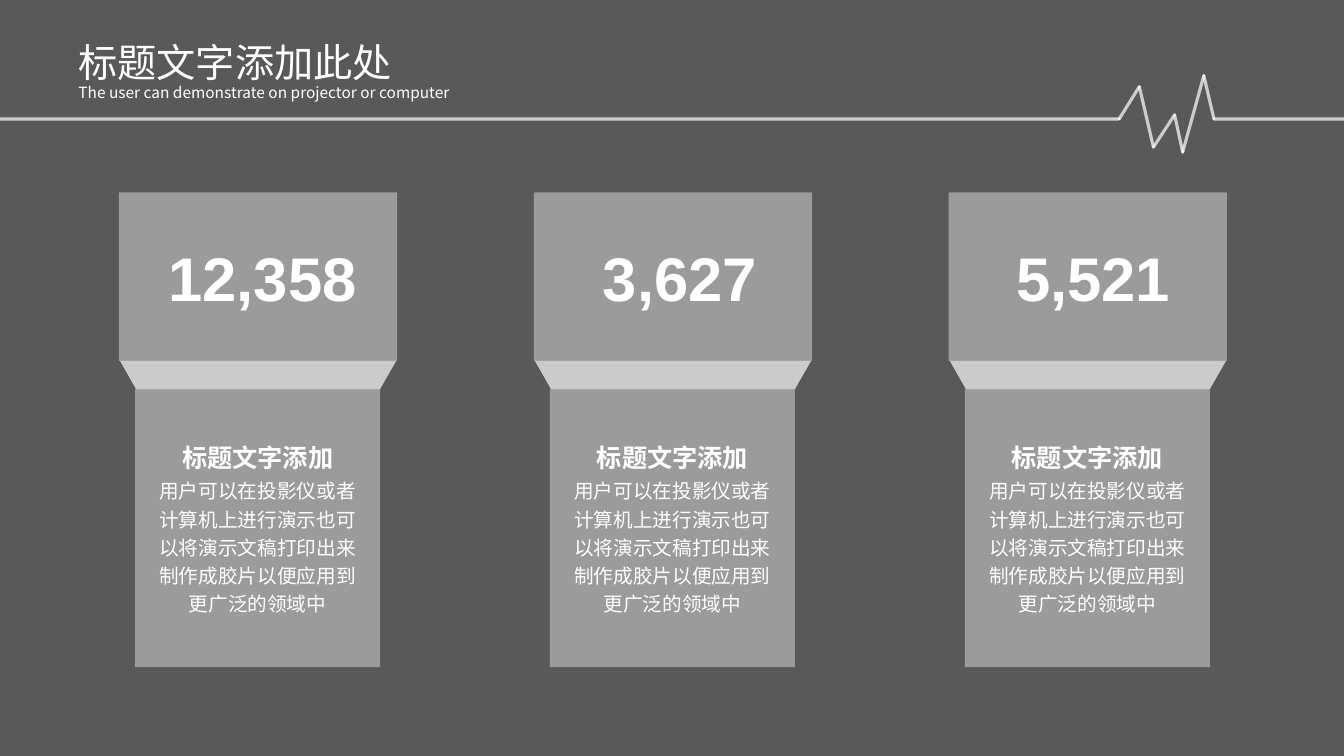
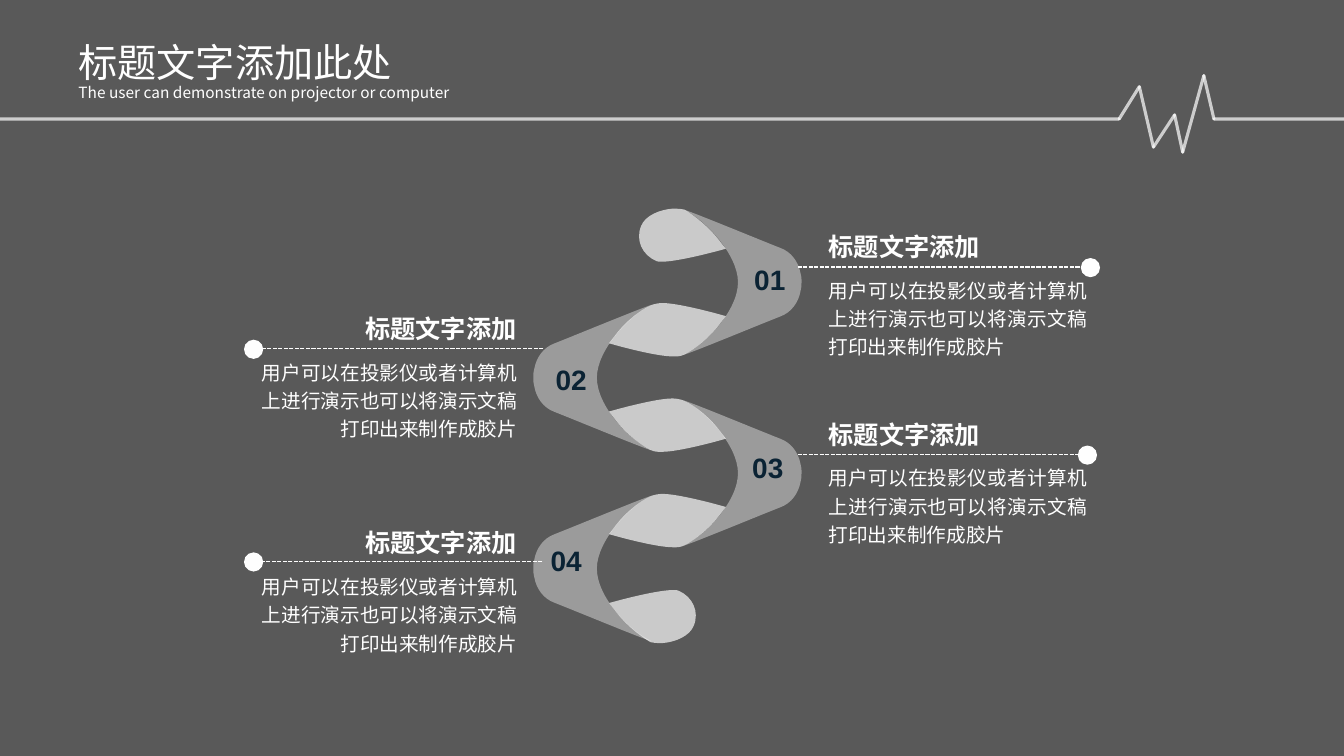
from itertools import pairwise

from lxml import etree
from pptx import Presentation
from pptx.dml.color import RGBColor
from pptx.enum.dml import MSO_LINE
from pptx.enum.shapes import MSO_CONNECTOR, MSO_SHAPE
from pptx.enum.text import MSO_AUTO_SIZE, PP_ALIGN
from pptx.oxml.ns import qn
from pptx.util import Inches, Pt

LEFT, CENTER, RIGHT, JUSTIFY = PP_ALIGN.LEFT, PP_ALIGN.CENTER, PP_ALIGN.RIGHT, PP_ALIGN.JUSTIFY
RECTANGLE, OVAL = MSO_SHAPE.RECTANGLE, MSO_SHAPE.OVAL
STRAIGHT = MSO_CONNECTOR.STRAIGHT
SOLID, DASHED = MSO_LINE.SOLID, MSO_LINE.SQUARE_DOT
GROW = MSO_AUTO_SIZE.SHAPE_TO_FIT_TEXT

BLACK = RGBColor(0x00, 0x00, 0x00)
WHITE = RGBColor(0xFF, 0xFF, 0xFF)
OFF_WHITE = RGBColor(0xFE, 0xFE, 0xFE)
NAVY = RGBColor(0x0B, 0x23, 0x34)
BACKDROP_ALPHA, PANEL_ALPHA, FOLD_ALPHA, PULSE_ALPHA = 65, 40, 69, 70
WIDTH, HEIGHT = 13.33, 7.5

CJK_FONT = "Noto Sans CJK SC"
TITLE = {"name": CJK_FONT, "size": Pt(28)}
SUBTITLE = {"name": CJK_FONT, "size": Pt(11)}
FIGURE = {"name": "Arial", "size": Pt(44), "bold": True}
HEADING = {"name": "Arial", "size": Pt(18), "bold": True}
BODY = {"name": "Arial", "size": Pt(14)}
STEP_NUMBER = {"name": "Arial", "size": Pt(20), "bold": True}

PULSE = [(0, 1.18), (11.1, 1.18), (11.3, 0.86), (11.44, 1.46), (11.65, 1.14),
         (11.73, 1.51), (11.94, 0.75), (12.04, 1.18), (WIDTH, 1.18)]

HEADING_TEXT = "标题文字添加"
STEP_TEXT = "用户可以在投影仪或者计算机上进行演示也可以将演示文稿打印出来制作成胶片"
CARD_TEXT = STEP_TEXT + "以便应用到更广泛的领域中"

CARDS = [("12,358", 1.57, 2.09), ("3,627", 5.88, 1.75), ("5,521", 9.98, 1.75)]
CARD_LEFT, CARD_TOP, CARD_PITCH = 1.18, 1.91, 8.23 / 2

RIBBON_X, RIBBON_TOP, RIBBON_BOTTOM, RIBBON_PITCH = 6.62, 2.07, 6.38, 2.84 / 3
ARM = [(0.7, 0.72), (0.7, 0.45, 0.38, 0.1, 0.16, 0),
       (0.19, 0, 0.94, 0.31, 1.12, 0.38), (1.23, 0.42, 1.3, 0.52, 1.32, 0.63),
       (1.33, 0.66, 1.33, 0.68, 1.33, 0.72), (1.33, 0.75, 1.33, 0.78, 1.32, 0.81),
       (1.3, 0.92, 1.23, 1.02, 1.12, 1.06), (0.94, 1.13, 0.19, 1.44, 0.16, 1.44),
       (0.38, 1.34, 0.7, 1, 0.7, 0.72)]
LINK = [(-0.05, 0), (0.06, 0, 0.28, 0.05, 0.47, 0.1), (0.58, 0.13), (0.51, 0.22),
        (0.41, 0.35, 0.27, 0.46, 0.17, 0.51), (0.13, 0.53, 0.1, 0.53, 0.06, 0.53),
        (-0.06, 0.53, -0.28, 0.48, -0.47, 0.43), (-0.58, 0.4), (-0.51, 0.31),
        (-0.41, 0.18, -0.27, 0.07, -0.16, 0.02), (-0.13, 0.01, -0.09, 0, -0.05, 0)]
CAP = [(0.05, 0), (0.09, 0, 0.13, 0, 0.17, 0.01), (0.27, 0.07, 0.41, 0.18, 0.51, 0.31),
       (0.58, 0.4), (0.57, 0.4), (0.32, 0.47, -0.03, 0.55, -0.11, 0.52),
       (-0.25, 0.46, -0.32, 0.31, -0.26, 0.17), (-0.22, 0.07, -0.08, 0.01, 0.05, 0)]

LEADERS = [(7.91, 10.81, 2.65), (5.39, 2.51, 3.46), (7.91, 10.78, 4.51), (5.38, 2.51, 5.57)]
STEPS = [
    ("01", (7.38, 2.56), (8.12, 2.19), (8.12, 2.67), JUSTIFY),
    ("02", (5.41, 3.55), (2.77, 3), (2.47, 3.48), RIGHT),
    ("03", (7.36, 4.42), (8.12, 4.05), (8.12, 4.53), JUSTIFY),
    ("04", (5.36, 5.34), (2.77, 5.12), (2.47, 5.61), RIGHT),
]


def fade(shape, percent):
    for color in shape._element.spPr.iter(qn("a:srgbClr")):
        etree.SubElement(color, qn("a:alpha"), val=str(percent * 1000))


def curve(shape, outline):
    lines = list(shape._element.iter(qn("a:lnTo")))
    for segment in outline[1:]:
        first, *others = [lines.pop(0) for _ in range(len(segment) // 2)]
        if others:
            bezier = etree.Element(qn("a:cubicBezTo"))
            first.addprevious(bezier)
            for line in (first, *others):
                bezier.append(line[0])
                line.getparent().remove(line)


class Deck:
    def __init__(self):
        self.prs = Presentation()
        self.prs.slide_width, self.prs.slide_height = Inches(WIDTH), Inches(HEIGHT)
        self.slide = None

    def new_slide(self):
        self.slide = self.prs.slides.add_slide(self.prs.slide_layouts[6])

    def shared_backdrop(self):
        backdrop = self.block(RECTANGLE, (0, 0, WIDTH, HEIGHT), BLACK, BACKDROP_ALPHA)
        backdrop._element.nvSpPr.cNvPr.set("id", "20")
        self.prs.slide_master.shapes._spTree.insert(2, backdrop._element)

    def header(self, title, subtitle):
        for start, end in pairwise(PULSE):
            segment = self.line(start, end, WHITE, 2.25)
            segment._element.spPr.find(qn("a:ln")).set("cap", "rnd")
            fade(segment, PULSE_ALPHA)
        self.text(title, (0.68, 0.33, 3.88, 0.57), TITLE)
        self.text(subtitle, (0.68, 0.75, 4.35, 0.3), SUBTITLE, spacing=1.14)

    def line(self, start, end, color, width, dash=SOLID):
        line = self.slide.shapes.add_connector(STRAIGHT, *map(Inches, start + end))
        line.line.color.rgb = color
        line.line.width = Pt(width)
        line.line.dash_style = dash
        etree.SubElement(line._element.spPr, qn("a:effectLst"))
        return line

    def paint(self, shape, color, alpha):
        shape.shadow.inherit = False
        shape.fill.solid()
        shape.fill.fore_color.rgb = color
        shape.line.fill.background()
        if alpha < 100:
            fade(shape, alpha)
        return shape

    def block(self, kind, box, color=WHITE, alpha=100):
        return self.paint(self.slide.shapes.add_shape(kind, *map(Inches, box)), color, alpha)

    def outline(self, points, color, alpha):
        vertices = [(Inches(x), Inches(y)) for x, y in points]
        builder = self.slide.shapes.build_freeform(*vertices[0])
        builder.add_line_segments(vertices[1:], close=True)
        return self.paint(builder.convert_to_shape(), color, alpha)

    def ribbon(self, outline, y, alpha, flip_x=1, flip_y=1):
        points = [(RIBBON_X + flip_x * dx, y + flip_y * dy)
                  for segment in outline for dx, dy in zip(segment[::2], segment[1::2])]
        curve(self.outline(points, OFF_WHITE, alpha), outline)

    def text(self, words, box, style, color=WHITE, align=LEFT, spacing=None, wrap=True):
        frame = self.slide.shapes.add_textbox(*map(Inches, box)).text_frame
        frame.word_wrap = wrap
        frame.auto_size = GROW
        paragraph = frame.paragraphs[0]
        paragraph.alignment = align
        paragraph.line_spacing = spacing
        run = paragraph.add_run()
        run.text = words
        for name, value in style.items():
            setattr(run.font, name, value)
        run.font.color.rgb = color
        etree.SubElement(run._r.get_or_add_rPr(), qn("a:ea"), typeface=CJK_FONT)

    def card(self, left, figure, figure_left, figure_width):
        fold_top, panel_top = CARD_TOP + 1.67, CARD_TOP + 1.95
        self.block(RECTANGLE, (left, CARD_TOP, 2.76, 1.67), alpha=PANEL_ALPHA)
        self.outline([(left + 0.01, fold_top), (left + 2.75, fold_top),
                      (left + 2.59, panel_top), (left + 0.17, panel_top)], WHITE, FOLD_ALPHA)
        self.block(RECTANGLE, (left + 0.16, panel_top, 2.43, 2.76), alpha=PANEL_ALPHA)
        self.text(figure, (figure_left, 2.33, figure_width, 0.84), FIGURE, wrap=False)
        self.text(CARD_TEXT, (left + 0.28, 4.66, 2.19, 1.51), BODY, align=CENTER, spacing=1.2)
        self.text(HEADING_TEXT, (left + 0.15, 4.28, 2.45, 0.44), HEADING, align=CENTER, spacing=1.2)

    def leader(self, arm_x, dot_x, y):
        self.line((arm_x, y), (dot_x, y), OFF_WHITE, 1, DASHED)
        self.block(OVAL, (dot_x - 0.09, y - 0.09, 0.19, 0.19), OFF_WHITE)

    def step(self, number, number_at, heading_at, body_at, align):
        self.text(number, (*number_at, 0.51, 0.44), STEP_NUMBER, NAVY, CENTER, wrap=False)
        self.text(STEP_TEXT, (*body_at, 2.76, 0.95), BODY, align=align, spacing=1.2)
        self.text(HEADING_TEXT, (*heading_at, 2.45, 0.44), HEADING, align=align, spacing=1.2)


def main():
    deck = Deck()
    header = ("标题文字添加此处", "The user can demonstrate on projector or computer")

    deck.new_slide()
    deck.shared_backdrop()
    deck.header(*header)
    for index, card in enumerate(CARDS):
        deck.card(CARD_LEFT + index * CARD_PITCH, *card)

    deck.new_slide()
    sides = (1, -1, 1, -1)
    tops = [RIBBON_TOP + index * RIBBON_PITCH for index in range(len(sides))]
    for side, top in zip(sides, tops):
        deck.ribbon(ARM, top + 0.01, PANEL_ALPHA, side)
    for leader in LEADERS:
        deck.leader(*leader)
    deck.ribbon(CAP, RIBBON_TOP, FOLD_ALPHA)
    for side, top in zip(sides[1:], tops[1:]):
        deck.ribbon(LINK, top - 0.01, FOLD_ALPHA, -side)
    deck.ribbon(CAP, RIBBON_BOTTOM, FOLD_ALPHA, -1, -1)
    deck.header(*header)
    for step in STEPS:
        deck.step(*step)

    deck.prs.save("out.pptx")


if __name__ == "__main__":
    main()
